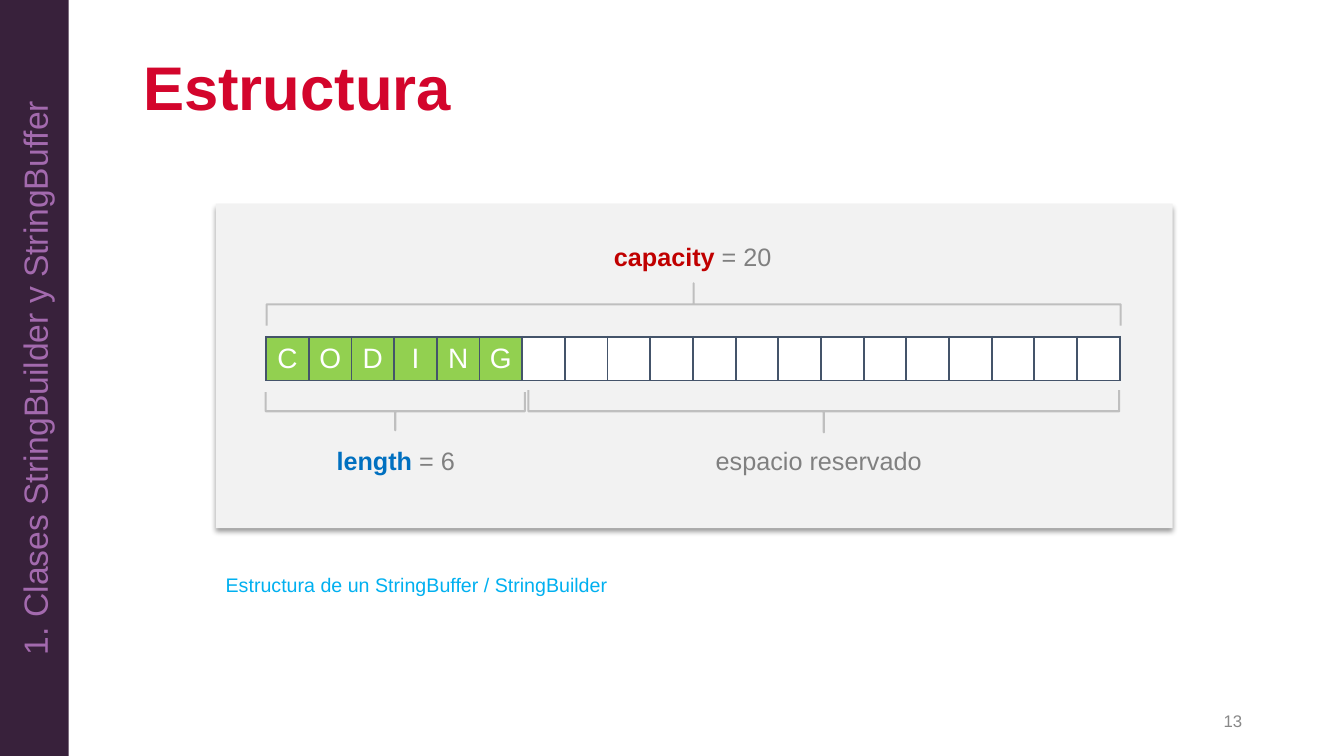
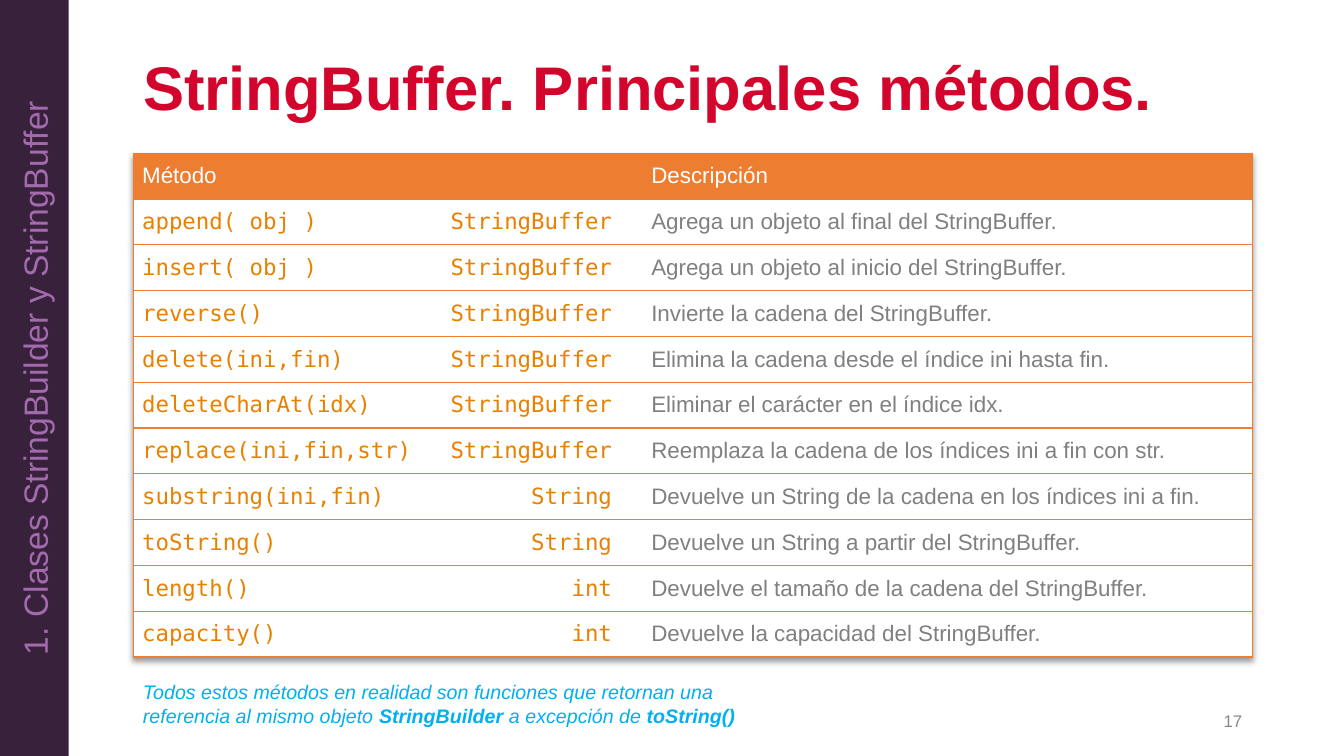
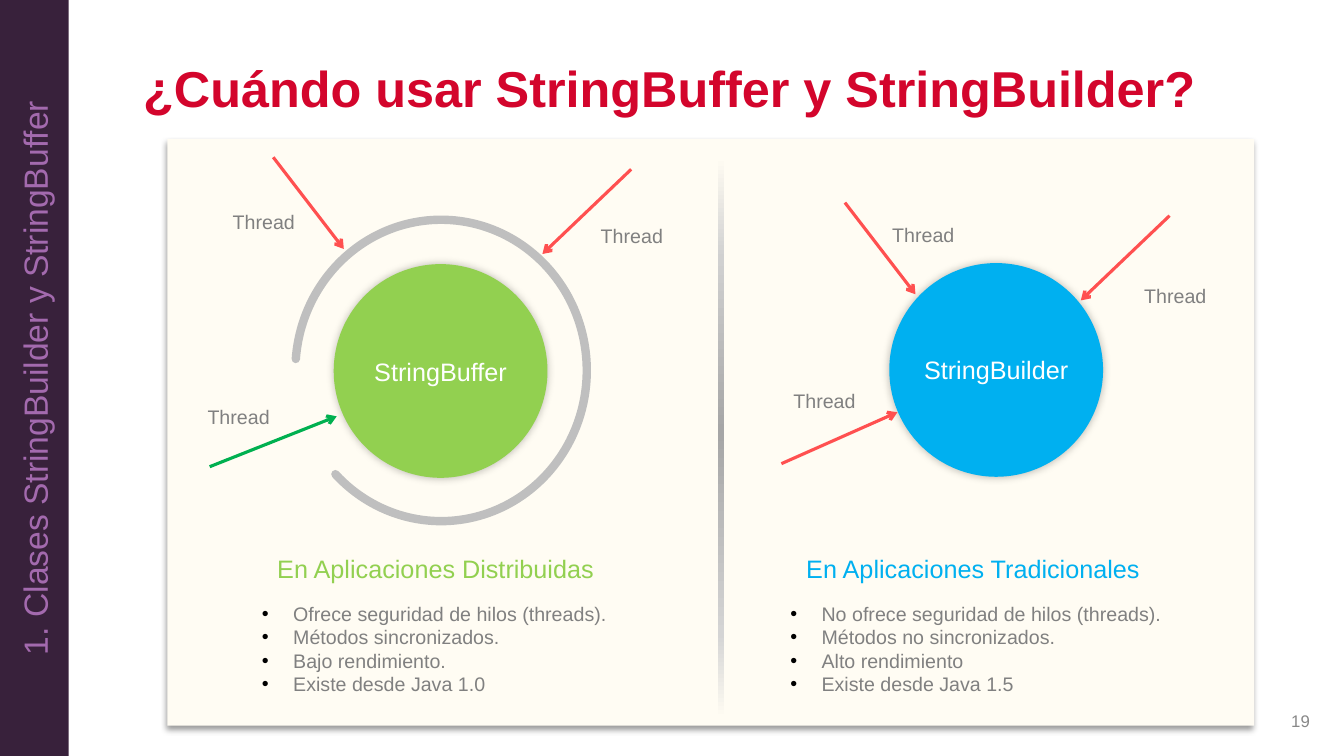
"""Build three slides on the structure and use of StringBuffer and StringBuilder."""
import dataclasses
import typing

import lxml.etree
import pptx
import pptx.dml.color
import pptx.enum.shapes
import pptx.enum.text
import pptx.oxml.ns
import pptx.util

Inches = pptx.util.Inches
Pt = pptx.util.Pt
Shape = pptx.enum.shapes.MSO_SHAPE
Align = pptx.enum.text.PP_ALIGN
Anchor = pptx.enum.text.MSO_ANCHOR
qn = pptx.oxml.ns.qn

INK = {
    "title": "D3052C", "band": "38213B", "topic": "A36AAE", "page": "888888",
    "gray": "808080", "brace": "BFBFBF", "panel": "F2F2F2", "cream": "FFFCF3",
    "white": "FFFFFF", "black": "000000", "green": "92D050", "sky": "00B0F0",
    "blue": "0070C0", "red": "C00000", "navy": "44546A", "orange": "ED7D31",
    "code": "E98100", "stop": "FF5050", "pass": "00B050",
    "pale": "D0D0D0", "mid": "A6A6A6", "light": "D4D4D4",
}
MONO = "DejaVu Sans Mono"
TOPIC = "1. Clases StringBuilder y StringBuffer"
NO_STYLE = "{2D5ABB26-0587-4C30-8999-92F81FD0307C}"
SIDES = "LRTB"


class Box(typing.NamedTuple):
    left: float
    top: float
    width: float
    height: float


class Run(typing.NamedTuple):
    text: str
    ink: str = "gray"
    size: float = 18
    bold: bool = False
    slant: bool = False
    font: str = "Arial"


class Brace(typing.NamedTuple):
    x: float
    y: float
    depth: float
    span: float
    turn: int


class Thread(typing.NamedTuple):
    label: tuple[float, float]
    start: tuple[float, float]
    end: tuple[float, float]
    ink: str = "stop"


@dataclasses.dataclass
class Side:
    name: str
    ink: str
    disc: Box
    head: str
    head_box: Box
    list_box: Box
    points: list[str]
    threads: list[Thread]
    guard: typing.Optional[Box] = None


def tint(name: str) -> pptx.dml.color.RGBColor:
    return pptx.dml.color.RGBColor.from_string(INK[name])


def node(parent: typing.Any, tag: str, **attrs: typing.Any) -> typing.Any:
    return lxml.etree.SubElement(parent, qn(tag), {k: str(v) for k, v in attrs.items()})


def place(box: Box) -> list[int]:
    return [Inches(size) for size in box]


def write(para: typing.Any, runs: list[Run], align: typing.Any = Align.LEFT) -> None:
    para.alignment = align
    for item in runs:
        run = para.add_run()
        run.text = item.text
        font = run.font
        font.name, font.size = item.font, Pt(item.size)
        font.bold, font.italic = item.bold, item.slant
        font.color.rgb = tint(item.ink)


def label(shapes: typing.Any, box: Box, runs: list[Run],
          align: typing.Any = Align.LEFT, wrap: bool = True) -> typing.Any:
    frame = shapes.add_textbox(*place(box)).text_frame
    frame.word_wrap = wrap
    write(frame.paragraphs[0], runs, align)
    return frame


def shade(effects: typing.Any, blur: float, dist: float, alpha: int) -> None:
    shadow = node(effects, "a:outerShdw", blurRad=Pt(blur), dist=Pt(dist),
                  dir=5400000, algn="ctr", rotWithShape=0)
    color = node(shadow, "a:srgbClr", val=INK["black"])
    node(color, "a:alpha", val=alpha * 1000)


def solid(shapes: typing.Any, kind: typing.Any, box: Box, ink: str) -> typing.Any:
    shape = shapes.add_shape(kind, *place(box))
    shape.shadow.inherit = False
    shape.fill.solid()
    shape.fill.fore_color.rgb = tint(ink)
    shape.line.fill.background()
    return shape


def stroke(shapes: typing.Any, kind: typing.Any, box: Box, width: float,
           adjust: tuple[float, float]) -> typing.Any:
    shape = shapes.add_shape(kind, *place(box))
    shape.shadow.inherit = False
    shape.fill.background()
    shape.line.color.rgb = tint("brace")
    shape.line.width = Pt(width)
    for spot, value in enumerate(adjust):
        shape.adjustments[spot] = value
    return shape


def panel(shapes: typing.Any, box: Box, ink: str) -> None:
    shape = solid(shapes, Shape.RECTANGLE, box, ink)
    shade(shape.element.spPr.find(qn("a:effectLst")), 4, 3, 40)


def start(deck: typing.Any, title: str, page: int, size: int = 44,
          width: float = 3) -> typing.Any:
    slide = deck.slides.add_slide(deck.slide_layouts[5])
    head = slide.shapes.title
    head.left, head.top, head.width, head.height = place(Box(1.32, 0.47, 11.1, 0.86))
    frame = head.text_frame
    frame.auto_size = pptx.enum.text.MSO_AUTO_SIZE.NONE
    frame.vertical_anchor = Anchor.MIDDLE
    frame.paragraphs[0].line_spacing = 0.9
    write(frame.paragraphs[0], [Run(title, "title", size, True)])
    foot = label(slide.shapes, Box(9.42, 6.95, width, 0.4),
                 [Run(str(page), "page", 12)], Align.RIGHT)
    foot.vertical_anchor = Anchor.MIDDLE
    band = solid(slide.shapes, Shape.RECTANGLE, Box(0, 0, 0.68, 7.5), "band")
    band.text_frame.vertical_anchor = Anchor.MIDDLE
    band.element.find(".//" + qn("a:bodyPr")).set("vert", "vert270")
    write(band.text_frame.paragraphs[0], [Run(TOPIC, "topic", 24)], Align.CENTER)
    return slide


def grid(shapes: typing.Any, rows: int, cols: int, box: Box) -> typing.Any:
    table = shapes.add_table(rows, cols, *place(box)).table
    table.first_row = table.horz_banding = False
    props = table._tbl.tblPr
    props.find(qn("a:tableStyleId")).text = NO_STYLE
    for row in table.rows:
        row.height = Inches(box.height) // rows
    return table


def dress(cell: typing.Any, ink: str, edge: str, width: float,
          sides: str = SIDES, pad: float = 0.09) -> None:
    cell.fill.solid()
    cell.fill.fore_color.rgb = tint(ink)
    cell.vertical_anchor = Anchor.MIDDLE
    cell.margin_left = cell.margin_right = Inches(pad)
    props = cell._tc.get_or_add_tcPr()
    for spot, side in enumerate(sides):
        line = node(props, "a:ln" + side, w=Pt(width))
        node(node(line, "a:solidFill"), "a:srgbClr", val=INK[edge])
        props.insert(spot, line)


def layout(deck: typing.Any) -> None:
    shapes = start(deck, "Estructura", 13).shapes
    panel(shapes, Box(2.14, 2.02, 9.49, 3.22), "panel")
    word, size, span = "CODING", 20, 8.47
    table = grid(shapes, 1, size, Box(2.64, 3.34, span, 0.41))
    for spot, column in enumerate(table.columns):
        column.width = Inches(span) // size
        cell = table.cell(0, spot)
        used = spot < len(word)
        dress(cell, "green" if used else "white", "navy", 1.5, pad=0.05)
        if used:
            write(cell.text_frame.paragraphs[0], [Run(word[spot], "white", 20)],
                  Align.CENTER)
    for box, runs in (
        (Box(5.98, 2.34, 1.78, 0.4), [Run("capacity", "red", bold=True), Run(" = 20")]),
        (Box(3.23, 4.37, 1.39, 0.4), [Run("length", "blue", bold=True), Run(" = 6")]),
        (Box(6.99, 4.37, 2.26, 0.4), [Run("espacio reservado")]),
    ):
        label(shapes, box, runs, Align.CENTER, False)
    for item in (
        Brace(6.88, 3.02, 0.42, span, 270),
        Brace(3.92, 4.08, 0.38, 2.57, 90),
        Brace(8.17, 4.08, 0.42, 5.86, 90),
    ):
        box = Box(item.x - item.depth / 2, item.y - item.span / 2, item.depth, item.span)
        stroke(shapes, Shape.RIGHT_BRACE, box, 1.5, (0, 0.5)).rotation = item.turn
    label(shapes, Box(2.14, 5.63, 6.67, 0.34),
          [Run("Estructura de un StringBuffer / StringBuilder", "sky", 14)])


METHODS = [
    ("append( obj )", "StringBuffer", "Agrega un objeto al final del StringBuffer."),
    ("insert( obj )", "StringBuffer", "Agrega un objeto al inicio del StringBuffer."),
    ("reverse()", "StringBuffer", "Invierte la cadena del StringBuffer."),
    ("delete(ini,fin)", "StringBuffer", "Elimina la cadena desde el índice ini hasta fin."),
    ("deleteCharAt(idx)", "StringBuffer", "Eliminar el carácter en el índice idx."),
    ("replace(ini,fin,str)", "StringBuffer",
     "Reemplaza la cadena de los índices ini a fin con str."),
    ("substring(ini,fin)", "String",
     "Devuelve un String de la cadena en los índices ini a fin."),
    ("toString()", "String", "Devuelve un String a partir del StringBuffer."),
    ("length()", "int", "Devuelve el tamaño de la cadena del StringBuffer."),
    ("capacity()", "int", "Devuelve la capacidad del StringBuffer."),
]


def methods(deck: typing.Any) -> None:
    shapes = start(deck, "StringBuffer. Principales métodos.", 17).shapes
    rows = [(Run("Método", "white", 16), Run("Descripción", "white", 16))]
    for name, kind, note in METHODS:
        rows.append((Run(f"{name}\t{kind}", "code", 16, font=MONO), Run(note, size=16)))
    table = grid(shapes, len(rows), 2, Box(1.32, 1.52, 11.1, 5))
    props = table._tbl.tblPr
    effects = node(props, "a:effectLst")
    props.insert(0, effects)
    shade(effects, 4, 3, 40)
    for column, width in zip(table.columns, (5.05, 6.05)):
        column.width = Inches(width)
    for row, runs in enumerate(rows):
        for col, run in enumerate(runs):
            cell = table.cell(row, col)
            dress(cell, "white" if row else "orange", "orange", 1, ("LTB", "RTB")[col])
            para = cell.text_frame.paragraphs[0]
            if row and not col:
                tabs = node(para._p.get_or_add_pPr(), "a:tabLst")
                node(tabs, "a:tab", pos=Inches(4.66), algn="r")
            write(para, [run])
    label(shapes, Box(1.32, 6.7, 6.67, 0.57), [
        Run("Todos estos métodos en realidad son funciones que retornan una "
            "referencia al mismo objeto ", "sky", 14, slant=True),
        Run("StringBuilder", "sky", 14, True, True),
        Run(" a excepción de ", "sky", 14, slant=True),
        Run("toString()", "sky", 14, True, True),
    ])


USES = [
    Side("StringBuffer", "green", Box(3.31, 2.62, 2.12, 2.12),
         "En Aplicaciones Distribuidas", Box(2.31, 5.44, 4.02, 0.4),
         Box(2.5, 5.92, 3.64, 1.04),
         ["Ofrece seguridad de hilos (threads).", "Métodos sincronizados.",
          "Bajo rendimiento.", "Existe desde Java 1.0"],
         [Thread((2.21, 2.03), (2.71, 1.56), (3.41, 2.47)),
          Thread((5.86, 2.17), (6.26, 1.68), (5.38, 2.52)),
          Thread((1.96, 3.97), (2.08, 4.63), (3.34, 4.13), "pass")],
         Box(2.93, 2.18, 2.89, 2.99)),
    Side("StringBuilder", "sky", Box(8.82, 2.61, 2.12, 2.12),
         "En Aplicaciones Tradicionales", Box(7.64, 5.44, 4.02, 0.4),
         Box(7.74, 5.92, 3.91, 1.04),
         ["No ofrece seguridad de hilos (threads).", "Métodos no sincronizados.",
          "Alto rendimiento", "Existe desde Java 1.5"],
         [Thread((8.75, 2.16), (8.38, 2.01), (9.08, 2.92)),
          Thread((11.25, 2.77), (11.6, 2.14), (10.72, 2.98)),
          Thread((7.77, 3.81), (7.75, 4.6), (8.9, 4.09))]),
]


def arrow(shapes: typing.Any, item: Thread) -> None:
    ends = [Inches(value) for value in item.start + item.end]
    line = shapes.add_connector(pptx.enum.shapes.MSO_CONNECTOR.STRAIGHT, *ends)
    line.line.color.rgb = tint(item.ink)
    line.line.width = Pt(2.25)
    props = line.element.spPr
    node(props.find(qn("a:ln")), "a:tailEnd", type="arrow")
    node(props, "a:effectLst")


def draw(slide: typing.Any, side: Side) -> None:
    group = slide.shapes.add_group_shape().shapes
    disc = solid(group, Shape.OVAL, side.disc, side.ink)
    shade(disc.element.spPr.find(qn("a:effectLst")), 6, 0, 25)
    frame = disc.text_frame
    frame.margin_left = frame.margin_right = 0
    frame.vertical_anchor = Anchor.MIDDLE
    write(frame.paragraphs[0], [Run(side.name, "white")], Align.CENTER)
    if side.guard:
        guard = stroke(group, Shape.ARC, side.guard, 6, (110.71, 81.32))
        guard.element.spPr.find(qn("a:ln")).set("cap", "rnd")
    for item in side.threads:
        label(group, Box(*item.label, 0.82, 0.34), [Run("Thread", size=14)], wrap=False)
        arrow(group, item)
    label(slide.shapes, side.head_box, [Run(side.head, side.ink)], Align.CENTER)
    frame = label(slide.shapes, side.list_box, [])
    for spot, point in enumerate(side.points):
        para = frame.add_paragraph() if spot else frame.paragraphs[0]
        props = para._p.get_or_add_pPr()
        props.set("marL", str(Inches(0.31)))
        props.set("indent", str(-Inches(0.31)))
        node(node(props, "a:buClr"), "a:srgbClr", val=INK["black"])
        node(props, "a:buFont", typeface="Arial")
        node(props, "a:buChar", char="•")
        write(para, [Run(point, size=14)])


def choice(deck: typing.Any) -> None:
    slide = start(deck, "¿Cuándo usar StringBuffer y StringBuilder?", 19, 36, 3.67)
    panel(slide.shapes, Box(1.66, 1.38, 10.78, 5.82), "cream")
    for side in USES:
        draw(slide, side)
    rule = solid(slide.shapes, Shape.RECTANGLE, Box(7.12, 1.56, 0.06, 5.56), "mid")
    rule.fill.gradient()
    rule.fill.gradient_angle = 270
    stops = rule.element.spPr.find(".//" + qn("a:gsLst"))
    for stop in list(stops):
        stops.remove(stop)
    for spot, ink in ((0, "cream"), (18, "pale"), (49, "mid"), (85, "light"),
                      (100, "cream")):
        node(node(stops, "a:gs", pos=spot * 1000), "a:srgbClr", val=INK[ink])


def main() -> None:
    deck = pptx.Presentation()
    deck.slide_width, deck.slide_height = Inches(13.33), Inches(7.5)
    for build in (layout, methods, choice):
        build(deck)
    deck.save("out.pptx")


if __name__ == "__main__":
    main()
